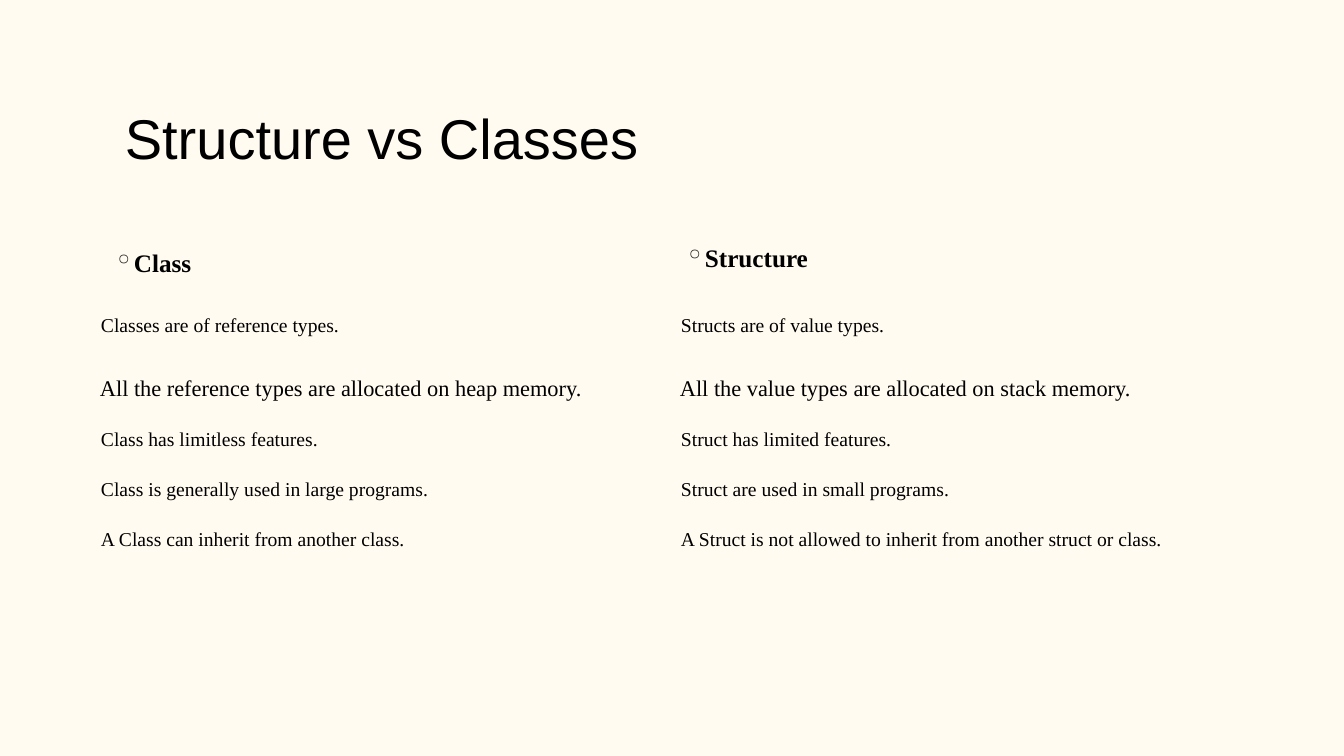
"""Builds the slide that compares structures with classes."""
from lxml import etree
from pptx import Presentation
from pptx import util as u
from pptx.dml.color import RGBColor
from pptx.enum import text
from pptx.oxml import ns

EMU_PER_PX = 914400 / 100.8
BACKGROUND, INK, BULLET = "FFFBF0", "000000", "262626"
SANS, SERIF = "Arial", "Times New Roman"
NO_GRID_STYLE = "{2D5ABB26-0587-4C30-8999-92F81FD0307C}"

TITLE = ("Structure vs Classes", (115, 66, 1109, 151))
HEADINGS = [
    ("Class", (104, 242, 569, 91)),
    ("Structure", (675, 237, 572, 91)),
]
TABLE_LEFT, COLUMN_WIDTH = 93, 580
COMPARISONS = [
    (306, 40, 8, 14, ("Classes are of reference types.",
                      "Structs are of value types.")),
    (356, 65, 7, 16, ("All the reference types are allocated on heap memory.",
                      "All the value types are allocated on stack memory.")),
    (420, 40, 8, 14, ("Class has limitless features.",
                      "Struct has limited features.")),
    (470, 40, 8, 14, ("Class is generally used in large programs.",
                      "Struct are used in small programs.")),
    (520, 40, 8, 14, ("A Class can inherit from another class.",
                      "A Struct is not allowed to inherit from another struct or class.")),
]


def px(length):
    return u.Emu(round(length * EMU_PER_PX))


def color(value):
    return RGBColor.from_string(value)


def format_text(paragraph, font_name, size, bold=False):
    for run in paragraph.runs:
        run.font.name = font_name
        run.font.size = u.Pt(size)
        run.font.bold = bold
        run.font.color.rgb = color(INK)


def add_text(slide, wording, box):
    frame = slide.shapes.add_textbox(*map(px, box)).text_frame
    frame.word_wrap = True
    frame.text = wording
    return frame


def add_bullet(paragraph):
    properties = paragraph._p.get_or_add_pPr()
    properties.set("marL", str(px(20)))
    properties.set("indent", str(px(-20)))
    bullet_color = etree.SubElement(properties, ns.qn("a:buClr"))
    etree.SubElement(bullet_color, ns.qn("a:srgbClr"), val=BULLET)
    etree.SubElement(properties, ns.qn("a:buChar"), char="◦")


def add_comparison(slide, top, height, margin, size, sentences):
    frame = slide.shapes.add_table(
        1, len(sentences), px(TABLE_LEFT), px(top),
        px(COLUMN_WIDTH * len(sentences)), px(height))
    table = frame.table
    table.first_row = table.horz_banding = False
    table._tbl.tblPr.find(ns.qn("a:tableStyleId")).text = NO_GRID_STYLE
    for cell, sentence in zip(table.rows[0].cells, sentences):
        cell.text = sentence
        cell.fill.background()
        cell.vertical_anchor = text.MSO_ANCHOR.MIDDLE
        cell.margin_left = cell.margin_right = px(margin)
        cell.margin_top = cell.margin_bottom = px(margin)
        format_text(cell.text_frame.paragraphs[0], SERIF, size)


def main():
    presentation = Presentation()
    presentation.slide_width, presentation.slide_height = px(1344), px(756)
    slide = presentation.slides.add_slide(presentation.slide_layouts[6])
    slide.background.fill.solid()
    slide.background.fill.fore_color.rgb = color(BACKGROUND)

    title = add_text(slide, *TITLE)
    title.vertical_anchor = text.MSO_ANCHOR.MIDDLE
    title.paragraphs[0].line_spacing = 0.9
    format_text(title.paragraphs[0], SANS, 40)

    for wording, box in HEADINGS:
        paragraph = add_text(slide, wording, box).paragraphs[0]
        add_bullet(paragraph)
        format_text(paragraph, SERIF, 18, bold=True)

    for comparison in COMPARISONS:
        add_comparison(slide, *comparison)

    presentation.save("out.pptx")


if __name__ == "__main__":
    main()
